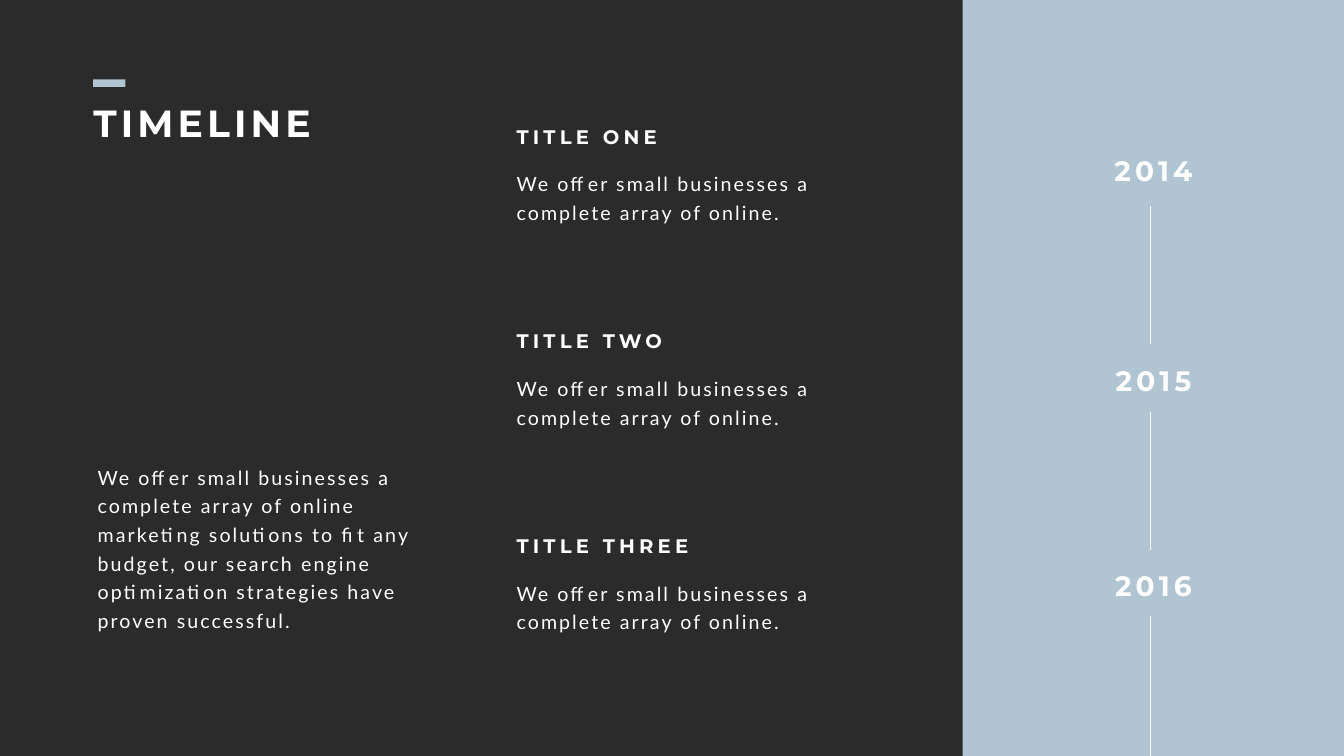
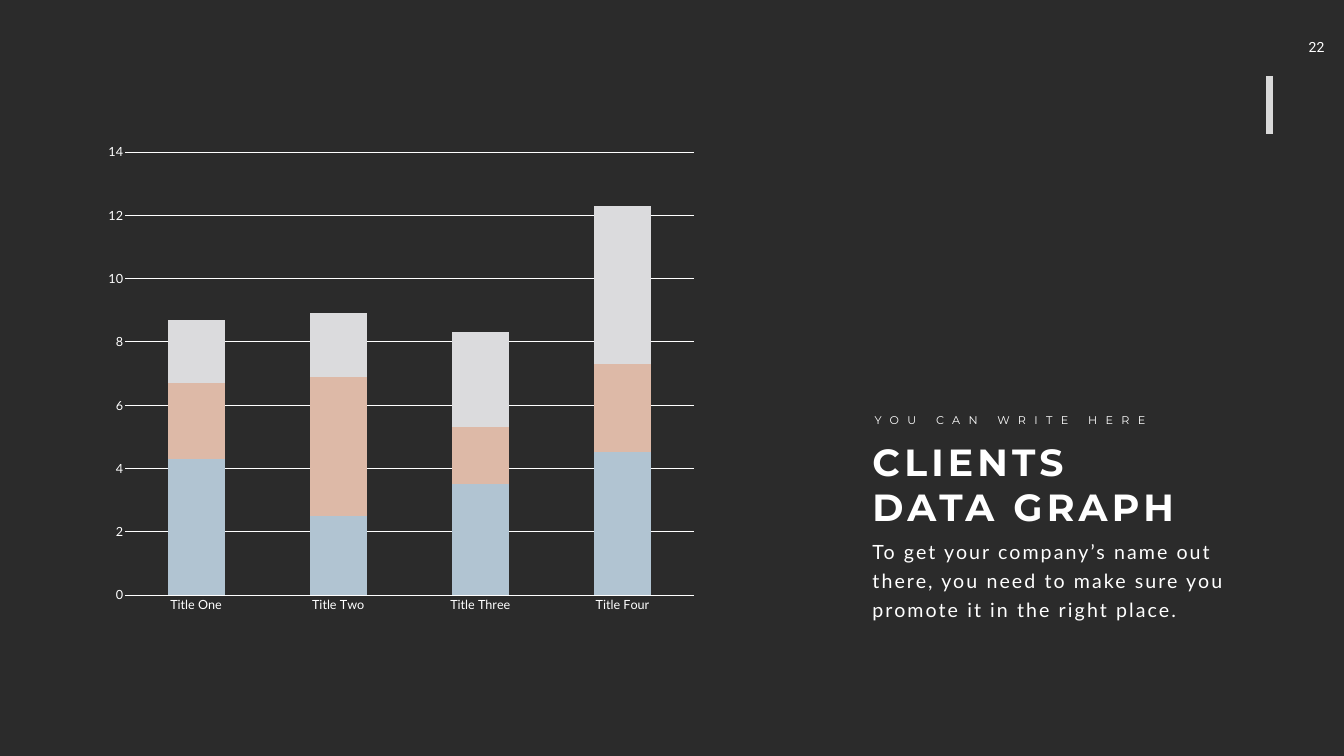
import pptx
import pptx.chart.data
import pptx.dml.color
import pptx.enum.chart
import pptx.enum.shapes
import pptx.enum.text
import pptx.oxml
import pptx.oxml.ns
import pptx.util

Cm = pptx.util.Cm
Pt = pptx.util.Pt
ALIGN = pptx.enum.text.PP_ALIGN

COLORS = {
    "background": "2B2B2B",
    "text": "FFFFFF",
    "blue": "B1C4D2",
    "peach": "DDB9A7",
    "silver": "DBDBDD",
    "marker": "D9D9D9",
}
HEADING = {"font": "Montserrat", "bold": True, "tracking": 6}
TITLE = {**HEADING, "size": 54}
BODY = {"font": "Lato", "size": 28, "tracking": 3, "line_spacing": 40.8}
SHORT_TEXT = "We offer small businesses a complete array of online."


def rgb(name):
    return pptx.dml.color.RGBColor.from_string(COLORS[name])


def set_text(shape, text, font, size, bold=False, tracking=0, align=ALIGN.LEFT,
             line_spacing=None, wrap=True, side_inset=0.25, end_inset=0.13):
    frame = shape.text_frame
    frame.word_wrap = wrap
    frame.auto_size = pptx.enum.text.MSO_AUTO_SIZE.SHAPE_TO_FIT_TEXT
    frame.vertical_anchor = pptx.enum.text.MSO_ANCHOR.TOP
    frame.margin_left = frame.margin_right = Cm(side_inset)
    frame.margin_top = frame.margin_bottom = Cm(end_inset)
    paragraph = frame.paragraphs[0]
    paragraph.alignment = align
    if line_spacing:
        paragraph.line_spacing = Pt(line_spacing)
    run = paragraph.add_run()
    run.text = text
    run.font.name = font
    run.font.size = Pt(size)
    run.font.bold = bold
    run.font.color.rgb = rgb("text")
    if tracking:
        run._r.get_or_add_rPr().set("spc", str(tracking * 100))


def add_text(slide, text, left, top, width, height, **text_format):
    shape = slide.shapes.add_textbox(Cm(left), Cm(top), Cm(width), Cm(height))
    set_text(shape, text, **text_format)


def place_title(slide, text, left, top, width, height):
    title = slide.shapes.title
    title.left, title.top = Cm(left), Cm(top)
    title.width, title.height = Cm(width), Cm(height)
    set_text(title, text, **TITLE)


def add_rectangle(slide, left, top, width, height, color):
    shape = slide.shapes.add_shape(
        pptx.enum.shapes.MSO_SHAPE.RECTANGLE, Cm(left), Cm(top), Cm(width), Cm(height))
    shape.shadow.inherit = False
    shape.fill.solid()
    shape.fill.fore_color.rgb = rgb(color)
    shape.line.fill.background()


def add_vertical_line(slide, x, start, end, color, weight):
    line = slide.shapes.add_connector(
        pptx.enum.shapes.MSO_CONNECTOR.STRAIGHT, Cm(x), Cm(start), Cm(x), Cm(end))
    line.line.color.rgb = rgb(color)
    line.line.width = Pt(weight)
    properties = line._element.spPr
    properties.append(pptx.oxml.parse_xml(
        "<a:effectLst %s/>" % pptx.oxml.ns.nsdecls("a")))


def add_year_panel(slide, left, width, height):
    add_rectangle(slide, left, 0, width, height, "blue")
    years = [
        ("2014", 7.62, 10.36, 17.32),
        ("2015", 18.21, 20.78, 27.74),
        ("2016", 28.52, 31.06, height),
    ]
    for year, top, line_start, line_end in years:
        add_text(slide, year, left + 5.47, top, 8.28, 1.96,
                 size=40, align=ALIGN.CENTER, **HEADING)
        add_vertical_line(slide, left + 9.43, line_start, line_end, "text", 0.5)


def add_entries(slide, left, top, step):
    for index, heading in enumerate(["TITLE ONE", "TITLE TWO", "TITLE THREE"]):
        entry_top = top + index * step
        add_text(slide, heading, left, entry_top, 14.53, 1.46, size=28, **HEADING)
        add_text(slide, SHORT_TEXT, left, entry_top + 2.14, 15.72, 3.02, **BODY)


def add_timeline_intro(slide, left, top):
    add_rectangle(slide, left + 0.24, top, 1.63, 0.38, "blue")
    place_title(slide, "TIMELINE", left, top + 0.88, 14.53, 2.57)
    add_text(slide, "We offer small businesses a complete array of online marketing "
             "solutions to fit any budget, our search engine optimization strategies "
             "have proven successful.", left + 0.22, top + 19.09, 16.56, 8.86, **BODY)


def add_page_marker(slide, left, top, number):
    add_text(slide, number, left, top, 2.18, 1.37, font="Roboto", size=20,
             align=ALIGN.CENTER, side_inset=0.5, end_inset=0.25)
    add_vertical_line(slide, left - 1.27, top + 2.14, top + 5.06, "marker", 10)


def add_graph_text(slide, left, top):
    add_text(slide, "YOU CAN WRITE HERE", left + 0.11, top, 14.68, 0.94,
             font="Montserrat", size=16, tracking=12, wrap=False)
    place_title(slide, "CLIENTS DATA GRAPH", left, top + 1.27, 16.56, 4.88)
    add_text(slide, "To get your company’s name out there, you need to make sure you "
             "promote it in the right place.", left, top + 6.15, 19.15, 4.5, **BODY)


def add_client_chart(slide, left, top, width, height):
    series_rows = [
        ("Series 1", (4.3, 2.5, 3.5, 4.5), "blue"),
        ("Series 2", (2.4, 4.4, 1.8, 2.8), "peach"),
        ("Series 3", (2, 2, 3, 5), "silver"),
    ]
    data = pptx.chart.data.CategoryChartData()
    data.categories = ["Title One", "Title Two", "Title Three", "Title Four"]
    for name, values, _ in series_rows:
        data.add_series(name, values)
    chart = slide.shapes.add_chart(
        pptx.enum.chart.XL_CHART_TYPE.COLUMN_STACKED,
        Cm(left), Cm(top), Cm(width), Cm(height), data).chart
    chart.has_legend = False
    chart.has_title = False
    chart.font.name = "Lato"
    chart.font.size = Pt(18)
    chart.font.color.rgb = rgb("text")

    plot = chart.plots[0]
    plot.gap_width = 150
    plot.overlap = 100
    plot.vary_by_categories = False
    for series, (_, _, color) in zip(plot.series, series_rows):
        series.format.fill.solid()
        series.format.fill.fore_color.rgb = rgb(color)

    for axis in (chart.category_axis, chart.value_axis):
        axis.major_tick_mark = axis.minor_tick_mark = pptx.enum.chart.XL_TICK_MARK.NONE
    value_axis = chart.value_axis
    value_axis.minimum_scale = 0
    value_axis.maximum_scale = 14
    value_axis.major_unit = 2
    value_axis.format.line.fill.background()
    value_axis.has_major_gridlines = True
    for line in (chart.category_axis.format.line, value_axis.major_gridlines.format.line):
        line.color.rgb = rgb("text")
        line.width = Pt(0.75)


def build_timeline(slide):
    add_year_panel(slide, 48.51, 19.21, 38.1)
    add_entries(slide, 25.78, 6.15, 10.32)
    add_timeline_intro(slide, 4.45, 4)


def build_data_graph(slide):
    add_page_marker(slide, 65.25, 1.7, "22")
    add_graph_text(slide, 43.71, 20.7)
    add_client_chart(slide, 4.85, 6.78, 30.71, 24.56)


def main():
    presentation = pptx.Presentation()
    presentation.slide_width = Cm(67.72)
    presentation.slide_height = Cm(38.1)
    background = presentation.slide_master.background.fill
    background.solid()
    background.fore_color.rgb = rgb("background")
    title_only = presentation.slide_layouts.get_by_name("Title Only")
    for build in (build_timeline, build_data_graph):
        build(presentation.slides.add_slide(title_only))
    presentation.save("out.pptx")


if __name__ == "__main__":
    main()
